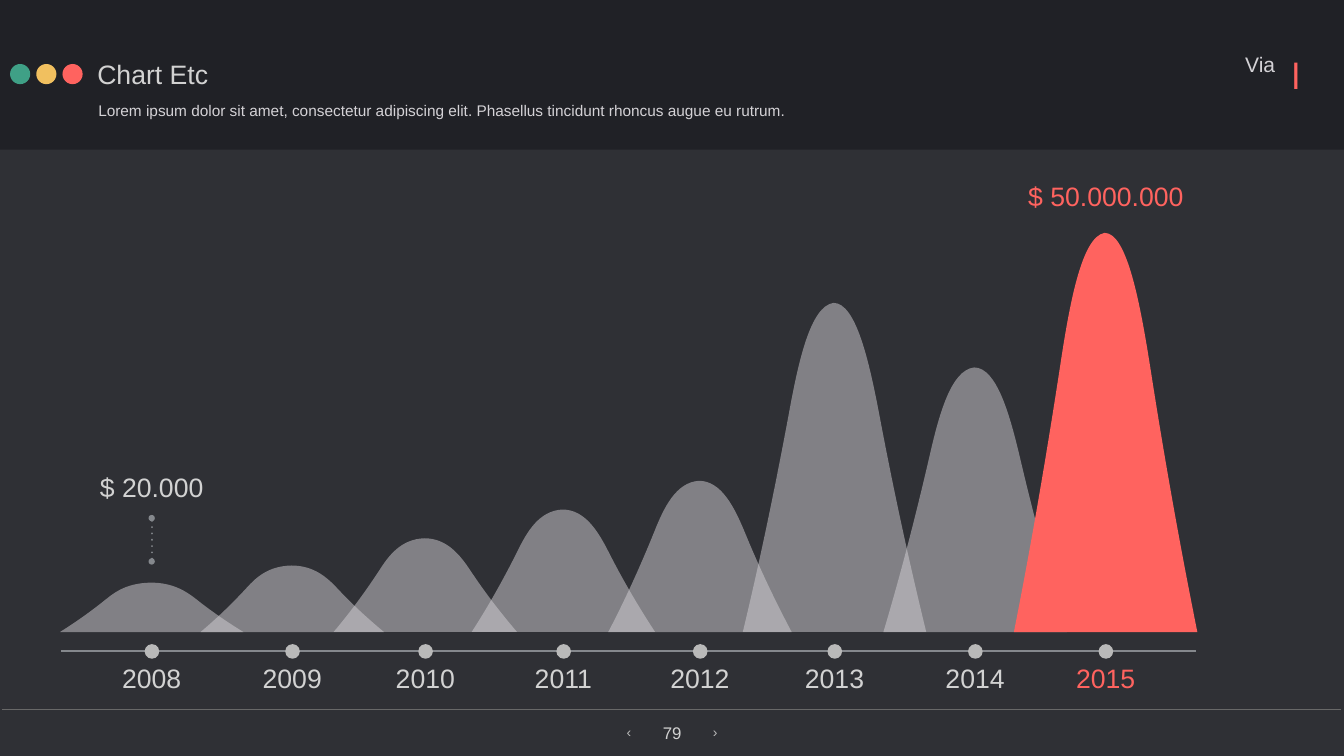
"""Build a dark slide with a peak chart of yearly revenue on a one-inch grid."""
from lxml import etree
from pptx import Presentation, util as u
from pptx.dml.color import RGBColor
from pptx.enum import shapes, text
from pptx.oxml.ns import qn

CELL = u.Inches(1)
COLS, ROWS = 26.67, 15
GREEN, YELLOW, RED = "3FA086", "F1C05F", "FF635F"
LIGHT, PALE, DOT, PEAK = "D2D2D2", "D4D2D6", "B9B9B9", "D3D1D5"
BASE, AXIS, PEAK_W = 12.54, 12.92, 3.64

prs = Presentation()
prs.slide_width, prs.slide_height = int(COLS * CELL), ROWS * CELL
s = prs.slides.add_slide(prs.slide_layouts[0])


def paint(fill, colour, alpha=100):
    fill.solid()
    fill.fore_color.rgb = RGBColor.from_string(colour)
    if alpha < 100:
        clr = fill._xPr.find(qn("a:solidFill"))[0]
        etree.SubElement(clr, qn("a:alpha"), val=str(alpha * 1000))


def write(words, x, y, w, h, size=38, colour=LIGHT, align="CENTER", anchor="MIDDLE", sp=None):
    box = [int(v * CELL) for v in (x, y, w, h)]
    if sp is None:
        sp = s.shapes.add_textbox(*box)
    else:
        s.shapes.element.append(sp.element)
        sp.left, sp.top, sp.width, sp.height = box
    tf = sp.text_frame
    tf.word_wrap = False
    tf.auto_size = text.MSO_AUTO_SIZE.SHAPE_TO_FIT_TEXT
    tf.vertical_anchor = text.MSO_ANCHOR[anchor]
    tf.margin_left = tf.margin_right = tf.margin_top = tf.margin_bottom = u.Inches(0.06)
    p = tf.paragraphs[0]
    p.alignment = text.PP_ALIGN[align]
    p.line_spacing, p.space_before = 1.0, 0
    r = p.add_run()
    r.text = words
    r.font.name, r.font.size = "Arial", u.Pt(size)
    paint(r.font.fill, colour)


paint(s.background.fill, "2F3035")

years = [
    (2008, 3.01, 0.98), (2009, 5.8, 1.32), (2010, 8.44, 1.86), (2011, 11.18, 2.43),
    (2012, 13.89, 3), (2013, 16.56, 6.53), (2014, 19.35, 5.25), (2015, 21.94, 7.92),
]
last_year = years[-1][0]

blocks = [("RECTANGLE", -0.25, -0.03, 27.18, 3, "202126")]
blocks += [("OVAL", 0.2 + 0.52 * i, 1.27, 0.4, 0.4, c) for i, c in enumerate((GREEN, YELLOW, RED))]
dots = [("OVAL", x - 0.14, AXIS - 0.14, 0.29, 0.29, DOT) for _, x, _ in years]

outline = [
    (0, 0), (0.33, 0.21), (0.63, 0.43), (0.91, 0.66), (1.1, 0.82), (1.34, 0.99), (1.8, 1),
    (2.25, 1), (2.51, 0.82), (2.71, 0.66), (2.98, 0.44), (3.29, 0.22), (PEAK_W, 0),
]

for year, x, height in years:
    left = x - PEAK_W / 2
    points = [(int((left + px) * CELL), int((BASE - py * height) * CELL)) for px, py in outline]
    builder = s.shapes.build_freeform(*points[0])
    builder.add_line_segments(points[1:], close=False)
    sp = builder.convert_to_shape()
    sides = list(sp.element.iter(qn("a:lnTo")))
    for i in range(0, len(sides), 3):
        bend = etree.SubElement(sides[i].getparent(), qn("a:cubicBezTo"))
        for side in sides[i:i + 3]:
            bend.append(side[0])
            side.getparent().remove(side)
    sp.shadow.inherit = False
    sp.line.fill.background()
    if year == last_year:
        paint(sp.fill, RED)
    else:
        paint(sp.fill, PEAK, alpha=50)

lines = [
    (0.04, 14.07, 26.62, 14.07, "686868", 1, False),
    (1.22, AXIS, 23.73, AXIS, "85888D", 2, False),
    (3.01, 11.14, 3.01, 10.28, "85888D", 3, True),
]
for x1, y1, x2, y2, colour, width, dotted in lines:
    ends = [int(v * CELL) for v in (x1, y1, x2, y2)]
    cx = s.shapes.add_connector(shapes.MSO_CONNECTOR.STRAIGHT, *ends)
    paint(cx.line.fill, colour)
    cx.line.width = u.Pt(width)
    if dotted:
        ln = cx.line._get_or_add_ln()
        ln.set("cap", "rnd")
        dash = etree.SubElement(ln, qn("a:custDash"))
        etree.SubElement(dash, qn("a:ds"), d="100000", sp="200000")
        for end in ("a:headEnd", "a:tailEnd"):
            etree.SubElement(ln, qn(end), type="oval")
    etree.SubElement(cx.element.spPr, qn("a:effectLst"))

for kind, x, y, w, h, colour in blocks + dots:
    sp = s.shapes.add_shape(shapes.MSO_SHAPE[kind], *[int(v * CELL) for v in (x, y, w, h)])
    sp.shadow.inherit = False
    sp.line.fill.background()
    paint(sp.fill, colour)

for year, x, _ in years:
    write(str(year), x - 0.65, 13.08, 1.3, 0.75, colour=RED if year == last_year else LIGHT)

write("Chart Etc", 1.87, 1.09, 2.45, 0.75, align="LEFT", sp=s.shapes.title)
write("Lorem ipsum dolor sit amet, consectetur adipiscing elit. "
      "Phasellus tincidunt rhoncus augue eu rutrum.",
      1.89, 1.95, 13.85, 0.47, size=22, colour=PALE, align="LEFT", anchor="TOP",
      sp=s.placeholders[1])
write("Via", 24.65, 0.97, 0.72, 0.61, size=30, colour=PALE, align="LEFT")
write("l", 25.57, 1.01, 0.29, 0.97, size=52, colour=RED)
write("$ 20.000", 1.92, 9.29, 2.18, 0.75)
write("$ 50.000.000", 20.34, 3.51, 3.21, 0.75, colour=RED)
write("‹", 12.37, 14.31, 0.22, 0.44, size=20, colour=DOT)
write("79", 13.09, 14.28, 0.5, 0.51, size=24, anchor="TOP")
write("›", 14.08, 14.31, 0.22, 0.44, size=20, colour=DOT)

prs.save("out.pptx")
